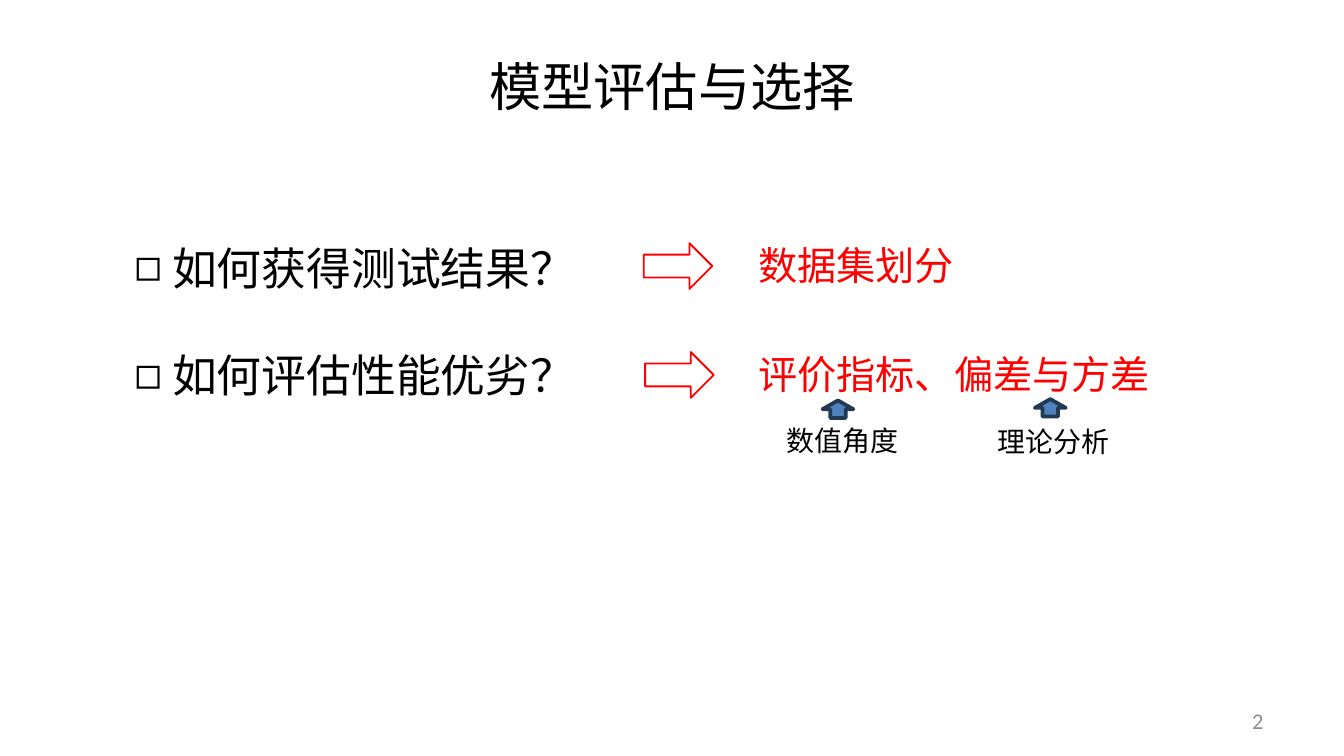
import pptx
import pptx.util
import pptx.dml.color
import pptx.enum.shapes
import pptx.enum.text
import pptx.oxml
import pptx.oxml.ns

Inches = pptx.util.Inches
Pt = pptx.util.Pt
RGBColor = pptx.dml.color.RGBColor
MSO_SHAPE = pptx.enum.shapes.MSO_SHAPE
MSO_ANCHOR = pptx.enum.text.MSO_ANCHOR
MSO_AUTO_SIZE = pptx.enum.text.MSO_AUTO_SIZE
PP_ALIGN = pptx.enum.text.PP_ALIGN

BLACK = RGBColor(0x00, 0x00, 0x00)
RED = RGBColor(0xFF, 0x00, 0x00)
GRAY = RGBColor(0x8C, 0x8C, 0x8C)
BLUE = RGBColor(0x4F, 0x81, 0xBD)
NAVY = RGBColor(0x23, 0x39, 0x53)
CJK = "Noto Sans CJK SC"
NS = pptx.oxml.ns.nsdecls("a")


def add_text(tf, text, size, color=BLACK, font=CJK, align=PP_ALIGN.LEFT,
             spacing=None, before=0, bullet=None):
    p = tf.paragraphs[0]
    if p.runs:
        p = tf.add_paragraph()
    p.alignment = align
    p.space_before = Pt(before)
    if spacing:
        p.line_spacing = Pt(spacing)
    if bullet:
        pPr = p._p.get_or_add_pPr()
        pPr.set("marL", str(Inches(0.28)))
        pPr.set("indent", str(-Inches(0.28)))
        pPr.append(pptx.oxml.parse_xml(f'<a:buFont {NS} typeface="Arial"/>'))
        pPr.append(pptx.oxml.parse_xml(f'<a:buChar {NS} char="{bullet}"/>'))
    r = p.add_run()
    r.text = text
    r.font.size = Pt(size)
    r.font.color.rgb = color
    r.font.name = font
    r._r.get_or_add_rPr().append(pptx.oxml.parse_xml(f'<a:ea {NS} typeface="{CJK}"/>'))


def place(sp, left, top, width, height, margin=None):
    sp.left, sp.top = Inches(left), Inches(top)
    sp.width, sp.height = Inches(width), Inches(height)
    tf = sp.text_frame
    tf.word_wrap = True
    tf.auto_size = MSO_AUTO_SIZE.NONE
    tf.vertical_anchor = MSO_ANCHOR.TOP
    if margin is not None:
        tf.margin_left = tf.margin_top = tf.margin_right = tf.margin_bottom = Inches(margin)
    return tf


prs = pptx.Presentation()
prs.slide_width = Inches(10)
prs.slide_height = prs.slide_width * 9 // 16
s = prs.slides.add_slide(prs.slide_layouts[1])

tf = place(s.shapes.title, 0.5, 0.35, 9, 0.94)
add_text(tf, "模型评估与选择", 28, font="Calibri", align=PP_ALIGN.CENTER)

tf = place(s.placeholders[1], 1, 1.82, 3.67, 2.06, margin=0)
add_text(tf, "如何获得测试结果？", 24, spacing=26.5, bullet="◻")
add_text(tf, "如何评估性能优劣？", 24, spacing=27.6, before=30, bullet="◻")

tf = place(s.shapes.add_textbox(0, 0, 0, 0), 5.64, 1.87, 3.08, 1.74, margin=0)
add_text(tf, "数据集划分", 21, RED, spacing=20.1)
add_text(tf, "评价指标、偏差与方差", 21, RED, spacing=20.7, before=37.5)

for left, top in ((4.79, 1.81), (4.8, 2.62)):
    sp = s.shapes.add_shape(MSO_SHAPE.RIGHT_ARROW, Inches(left), Inches(top),
                            Inches(0.51), Inches(0.34))
    sp.shadow.inherit = False
    sp.fill.background()
    sp.line.color.rgb = RED
    sp.line.width = Pt(1)

for text, left, top, arrow_left, arrow_top in (
    ("数值角度", 5.85, 3.12, 6.12, 2.98),
    ("理论分析", 7.42, 3.13, 7.7, 2.97),
):
    tf = place(s.shapes.add_textbox(0, 0, 0, 0), left, top, 0.9, 0.26, margin=0)
    add_text(tf, text, 15, spacing=20.3)
    sp = s.shapes.add_shape(MSO_SHAPE.UP_ARROW, Inches(arrow_left), Inches(arrow_top),
                            Inches(0.23), Inches(0.13))
    sp.shadow.inherit = False
    sp.fill.solid()
    sp.fill.fore_color.rgb = BLUE
    sp.line.color.rgb = NAVY
    sp.line.width = Pt(2)

tf = place(s.shapes.add_textbox(0, 0, 0, 0), 7.17, 5.21, 2.33, 0.3)
tf.vertical_anchor = MSO_ANCHOR.MIDDLE
add_text(tf, "2", 12, GRAY, font="Calibri", align=PP_ALIGN.RIGHT)

prs.save("out.pptx")
